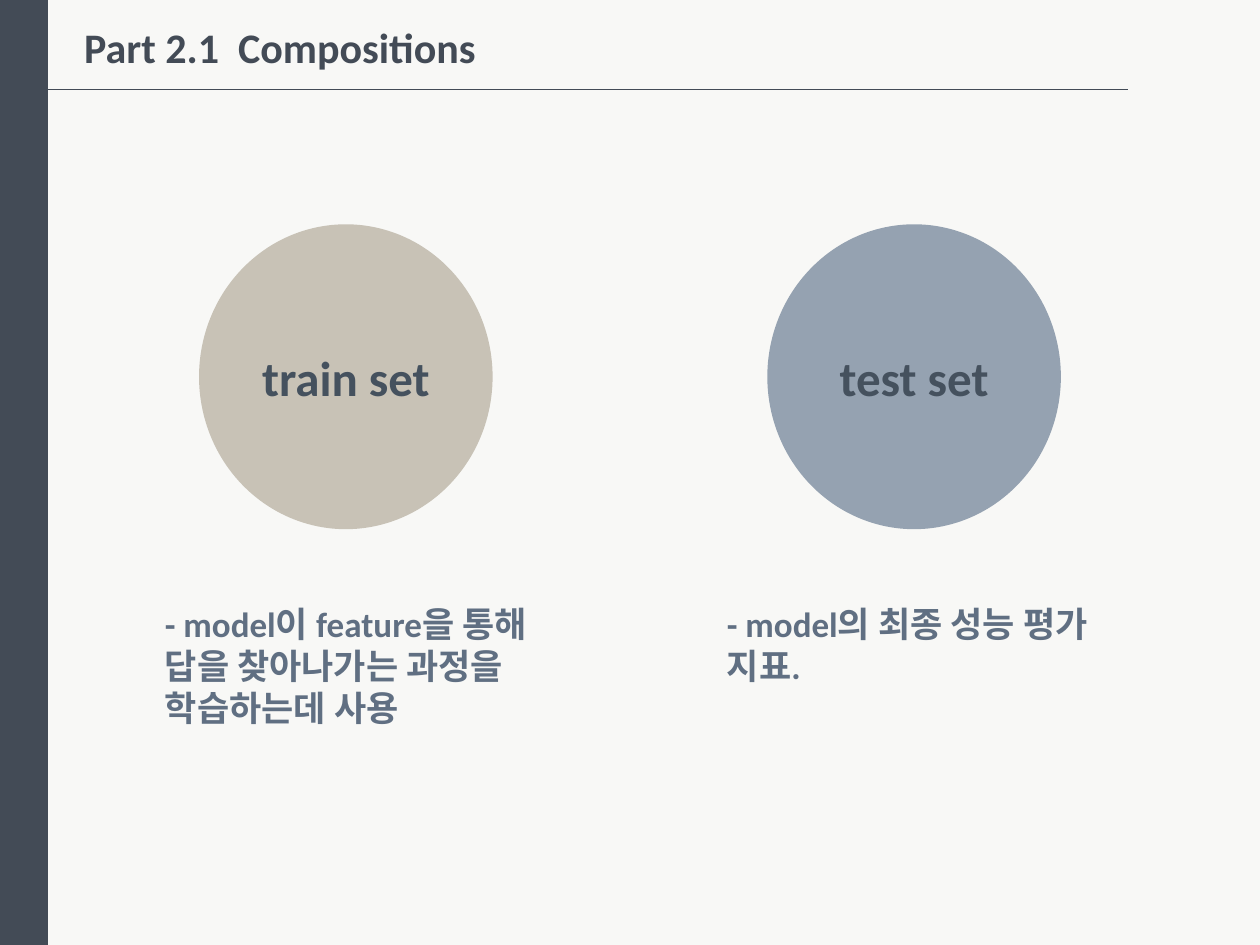
from dataclasses import dataclass

from lxml.etree import SubElement
from pptx import Presentation
from pptx.dml.color import RGBColor
from pptx.enum.shapes import MSO_CONNECTOR, MSO_SHAPE
from pptx.enum.text import MSO_AUTO_SIZE, PP_ALIGN
from pptx.oxml.ns import qn
from pptx.util import Inches, Pt

COLORS = {
    "background": "F8F8F6",
    "dark": "434B56",
    "label": "45515E",
    "caption": "606F82",
    "train": "C8C2B6",
    "test": "95A2B1",
}
FONT = "Calibri"
SLIDE_WIDTH, SLIDE_HEIGHT = 10, 7.5
SIDEBAR_WIDTH = 0.38
RULE_Y, RULE_END = 0.71, 8.95
CIRCLE_TOP, CIRCLE_WIDTH, CIRCLE_HEIGHT = 1.78, 2.33, 2.42
LABEL_TOP, LABEL_INSET, LABEL_HEIGHT = 2.71, 0.16, 0.57
CAPTION_TOP, CAPTION_WIDTH = 4.73, 3.39


@dataclass(frozen=True)
class DataSet:
    label: str
    color: str
    circle_left: float
    caption: str
    caption_left: float
    caption_height: float


DATA_SETS = [
    DataSet("train set", "train", 1.58,
            "- model이 feature을 통해 답을 찾아나가는 과정을 학습하는데 사용", 1.21, 1.11),
    DataSet("test set", "test", 6.09,
            "- model의 최종 성능 평가 지표.", 5.67, 0.77),
]


def rgb(name: str) -> RGBColor:
    return RGBColor.from_string(COLORS[name])


def add_filled(shapes, kind: MSO_SHAPE, left: float, top: float,
               width: float, height: float, color: str) -> None:
    shape = shapes.add_shape(kind, Inches(left), Inches(top), Inches(width), Inches(height))
    shape.shadow.inherit = False
    shape.fill.solid()
    shape.fill.fore_color.rgb = rgb(color)
    shape.line.fill.background()


def add_text(shapes, text: str, left: float, top: float, width: float, height: float,
             size: int, color: str, align: PP_ALIGN = PP_ALIGN.LEFT, wrap: bool = True) -> None:
    box = shapes.add_textbox(Inches(left), Inches(top), Inches(width), Inches(height))
    frame = box.text_frame
    frame.word_wrap = wrap
    frame.auto_size = MSO_AUTO_SIZE.SHAPE_TO_FIT_TEXT
    paragraph = frame.paragraphs[0]
    paragraph.alignment = align
    run = paragraph.add_run()
    run.text = text
    run.font.name = FONT
    run.font.size = Pt(size)
    run.font.bold = True
    run.font.color.rgb = rgb(color)


def add_header(shapes) -> None:
    add_filled(shapes, MSO_SHAPE.RECTANGLE, 0, 0, SIDEBAR_WIDTH, SLIDE_HEIGHT, "dark")
    rule = shapes.add_connector(MSO_CONNECTOR.STRAIGHT, Inches(SIDEBAR_WIDTH), Inches(RULE_Y),
                                Inches(RULE_END), Inches(RULE_Y))
    rule.line.color.rgb = rgb("dark")
    rule.line.width = Pt(0.5)
    SubElement(rule._element.spPr, qn("a:effectLst"))
    add_text(shapes, "Part 2.1  Compositions", 0.57, 0.12, 3.34, 0.5, 24, "dark", wrap=False)


def add_data_set(shapes, data_set: DataSet) -> None:
    """Draw a labelled circle as one group, with its caption below."""
    badge = shapes.add_group_shape().shapes
    add_filled(badge, MSO_SHAPE.OVAL, data_set.circle_left, CIRCLE_TOP,
               CIRCLE_WIDTH, CIRCLE_HEIGHT, data_set.color)
    add_text(badge, data_set.label, data_set.circle_left + LABEL_INSET, LABEL_TOP,
             CIRCLE_WIDTH - 2 * LABEL_INSET, LABEL_HEIGHT, 28, "label", PP_ALIGN.CENTER)
    add_text(shapes, data_set.caption, data_set.caption_left, CAPTION_TOP,
             CAPTION_WIDTH, data_set.caption_height, 20, "caption")


def main() -> None:
    presentation = Presentation()
    presentation.slide_width = Inches(SLIDE_WIDTH)
    presentation.slide_height = Inches(SLIDE_HEIGHT)
    slide = presentation.slides.add_slide(presentation.slide_layouts[6])
    slide.background.fill.solid()
    slide.background.fill.fore_color.rgb = rgb("background")
    add_header(slide.shapes)
    for data_set in DATA_SETS:
        add_data_set(slide.shapes, data_set)
    presentation.save("out.pptx")


if __name__ == "__main__":
    main()
